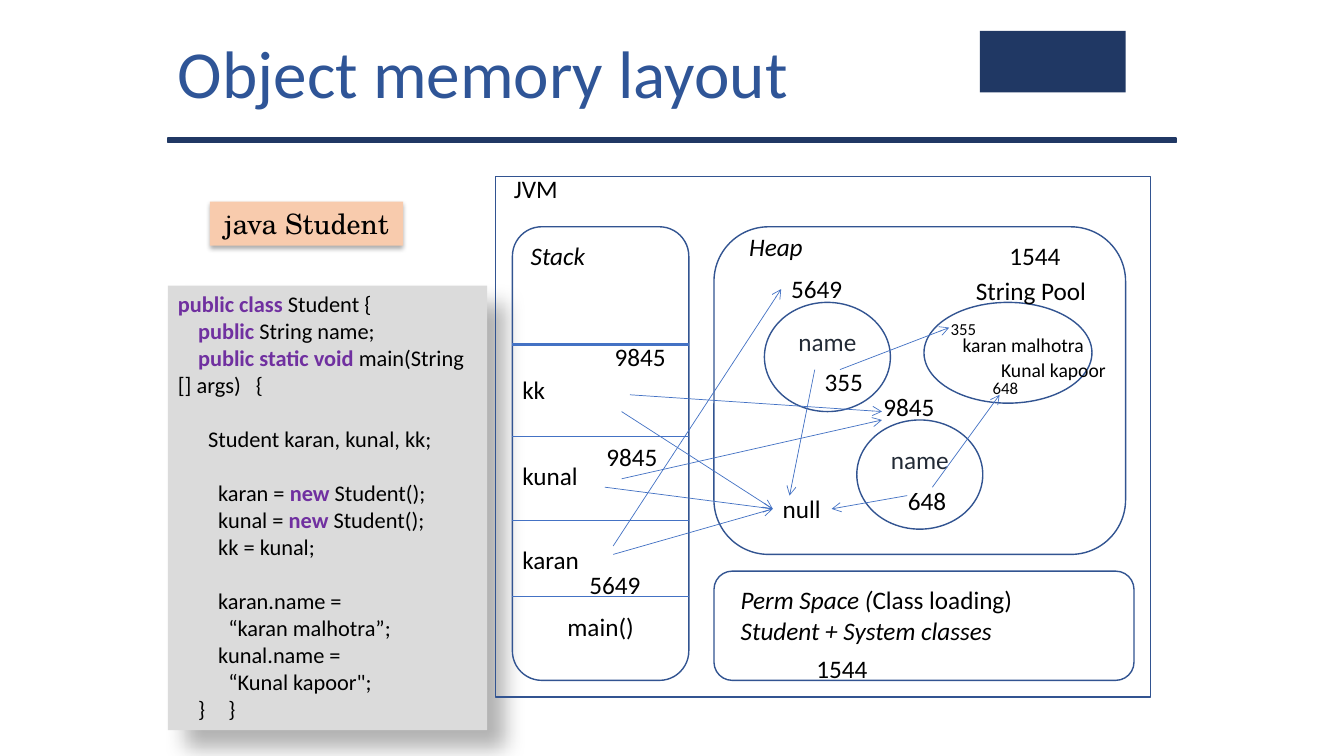
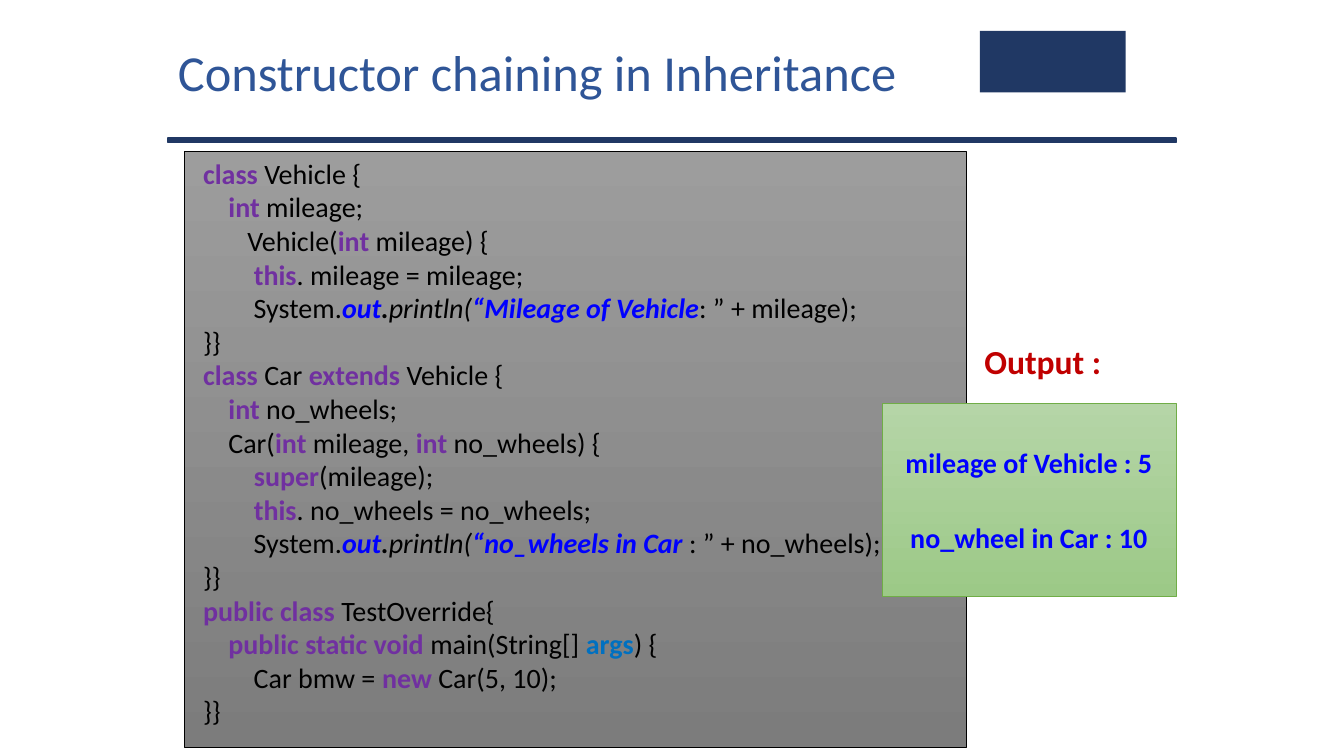
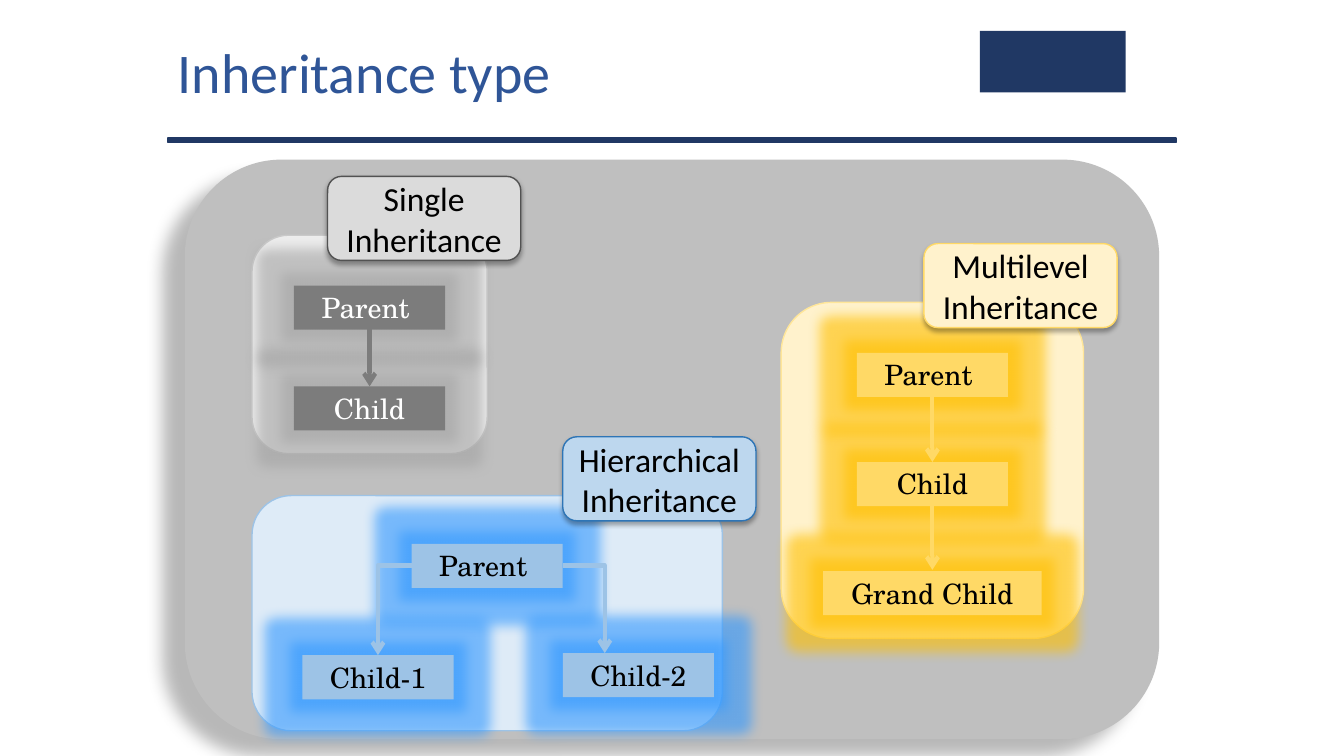
from lxml.etree import SubElement as Sub
from pptx import Presentation
from pptx.dml.color import RGBColor as Rgb
from pptx.enum.shapes import MSO_CONNECTOR as Conn, MSO_SHAPE as Kind
from pptx.enum.text import MSO_ANCHOR as Anchor, PP_ALIGN as Align
from pptx.oxml.ns import qn
from pptx.util import Pt

HUE = {
    "navy": "203864", "title": "2F5597", "edge": "325491", "link": "4472C4",
    "black": "000000", "white": "FFFFFF", "ink": "222A35",
    "key": "7030A0", "blue": "0000FF", "args": "0070C0", "red": "C00000",
    "code": "DBDBDB", "peach": "F8CBAD", "back": "BFBFBF",
    "dim": "9D9D9D", "dark": "7C7C7C",
    "leaf": "B5D5A7", "moss": "9CC987", "green": "70AD47",
}
TONE = {
    "gray": dict(panel="EDEDED", rim="C9C9C9", tag="DBDBDB", edge="525252",
                 box="7C7C7C", glow="A5A5A5", ink="FFFFFF"),
    "gold": dict(panel="FFF2CC", rim="FFE699", tag="FFF2CC", edge="FFD966",
                 box="FFD966", glow="FFC000", ink="000000"),
    "sky": dict(panel="DEEBF7", rim="9DC3E6", tag="BDD7EE", edge="2E75B6",
                box="9DC3E6", glow="3399FF", ink="000000"),
}
LOOK = {
    "plain": ("black", False, False),
    "key": ("key", True, False),
    "args": ("args", True, False),
    "quote": ("blue", True, True),
    "dot": ("black", True, True),
    "slant": ("black", False, True),
}
SANS = "Calibri"
SERIF = "TeX Gyre Schola"
SOFT = (32, 3.5, 2.2, 90)


def tint(name):
    return Rgb.from_string(HUE.get(name, name))


def put(para, text, size, hue="black", bold=False, slant=False, face=SANS):
    run = para.add_run()
    run.text = text
    font = run.font
    font.size, font.name = Pt(size), face
    font.bold, font.italic = bold, slant
    font.color.rgb = tint(hue)


def frame(shape, anchor=Anchor.TOP):
    area = shape.text_frame
    area.word_wrap = True
    area.vertical_anchor = anchor
    return area


def label(slide, text, x, y, w=72, h=29, size=18, **style):
    area = frame(slide.shapes.add_textbox(Pt(x), Pt(y), Pt(w), Pt(h)))
    put(area.paragraphs[0], text, size, **style)
    return area


def effect(shape, tag, hue, alpha, **attrs):
    group = shape._element.spPr.find(qn("a:effectLst"))
    node = Sub(group, qn(tag), {k: str(round(v)) for k, v in attrs.items()})
    shade = Sub(node, qn("a:srgbClr"), val=HUE.get(hue, hue))
    Sub(shade, qn("a:alpha"), val=str(alpha * 1000))


def form(slide, kind, x, y, w, h, fill=None, line=None, thick=1, drop=None):
    shape = slide.shapes.add_shape(kind, Pt(x), Pt(y), Pt(w), Pt(h))
    shape.shadow.inherit = False
    if isinstance(fill, tuple):
        shape.fill.gradient()
        shape.fill.gradient_angle = 270
        for stop, hue in zip(shape.fill.gradient_stops, fill):
            stop.color.rgb = tint(hue)
    elif fill:
        shape.fill.solid()
        shape.fill.fore_color.rgb = tint(fill)
    else:
        shape.fill.background()
    if line:
        shape.line.color.rgb = tint(line)
        shape.line.width = Pt(thick)
    else:
        shape.line.fill.background()
    if drop:
        alpha, blur, dist, angle = drop
        effect(shape, "a:outerShdw", "black", alpha, blurRad=Pt(blur),
               dist=Pt(dist), dir=angle * 60000)
    return shape


def word(shape, text, size, anchor=Anchor.MIDDLE, **style):
    para = frame(shape, anchor).paragraphs[0]
    para.alignment = Align.CENTER
    put(para, text, size, **style)


def wire(slide, ends, hue="link", thick=0.5, arrow=True, bent=False):
    kind = Conn.ELBOW if bent else Conn.STRAIGHT
    link = slide.shapes.add_connector(kind, *map(Pt, ends))
    link.line.color.rgb = tint(hue)
    link.line.width = Pt(thick)
    props = link._element.spPr
    if bent:
        props.find(qn("a:prstGeom")).set("prst", "bentConnector2")
    if arrow:
        Sub(props.find(qn("a:ln")), qn("a:tailEnd"), type="arrow")
    Sub(props, qn("a:effectLst"))


def code(area, lines, size, gaps=()):
    for i, line in enumerate(lines):
        para = area.add_paragraph() if i else area.paragraphs[0]
        para.alignment = Align.LEFT
        if i in gaps:
            para.space_before = Pt(size * 1.22)
        for part in line:
            text, look = (part, "plain") if isinstance(part, str) else part
            put(para, text, size, *LOOK[look])


def key(text):
    return text, "key"


def head(slide, text, size):
    form(slide, Kind.RECTANGLE, 120, 98.5, 720, 3.5, "navy", "navy")
    form(slide, Kind.RECTANGLE, 700, 22, 104, 44, "navy")
    box = slide.shapes.add_textbox(Pt(120), 0, Pt(564), Pt(102))
    put(frame(box, Anchor.MIDDLE).paragraphs[0], text, size, "title")


def memory(slide):
    head(slide, "Object memory layout", 48)
    card = form(slide, Kind.RECTANGLE, 120, 204, 228, 317.5, "code",
                drop=(30, 15, 18, 45))
    code(frame(card), [
        [key("public class"), " Student {"],
        ["    ", key("public"), " String name;"],
        ["    ", key("public static void "), "main(String \t[] args)   {"],
        ["      Student karan, kunal, kk;"],
        ["        karan = ", key("new"), " Student();"],
        ["        kunal = ", key("new"), " Student();"],
        ["        kk = kunal;"],
        ["        karan.name ="],
        ["\t“karan malhotra”;"],
        ["        kunal.name ="],
        ["\t“Kunal kapoor\";"],
        ["    }\t}"],
    ], 16, gaps=(3, 4, 7))

    form(slide, Kind.RECTANGLE, 354, 126, 468, 372, line="edge")
    for spot in [(510, 408, 300, 78), (366, 162, 126, 324),
                 (510, 162, 294, 234)]:
        form(slide, Kind.ROUNDED_RECTANGLE, *spot, line="edge")
    for y, thick in [(426, 0.5), (372, 0.5), (312, 0.5), (246, 2.25)]:
        wire(slide, (366, y, 492, y), thick=thick, arrow=False)

    for x, y in [(546, 216), (612, 300)]:
        oval = form(slide, Kind.OVAL, x, y, 90, 78, line="edge")
        word(oval, "name", 18, hue="ink")
        oval.text_frame.margin_bottom = Pt(25.6)
    form(slide, Kind.OVAL, 660, 216, 120, 72, line="edge")

    perm = label(slide, "Perm Space (", 522, 414, 270, 51, slant=True)
    put(perm.paragraphs[0], "Class loading)", 18)
    put(perm.add_paragraph(), "Student + System classes", 18, slant=True)
    main_box = label(slide, "main()", 366, 433, 126)
    main_box.paragraphs[0].alignment = Align.CENTER

    for text, x, y in [
        ("JVM", 360, 120), ("1544", 576, 463), ("1544", 714, 168),
        ("null", 552, 349), ("5649", 558, 192), ("9845", 624, 276),
        ("5649", 414, 403), ("9845", 426, 312), ("9845", 432, 240),
        ("kk", 366, 264), ("kunal", 366, 325), ("karan", 366, 385),
        ("648", 641.5, 343), ("355", 582, 258),
    ]:
        label(slide, text, x, y)
    label(slide, "String Pool", 690, 193, 96)
    label(slide, "Stack", 372, 168, slant=True)
    label(slide, "Heap", 528, 162, slant=True)
    for text, x, y, size in [
        ("355", 672, 224, 12), ("karan malhotra", 680.5, 234, 14),
        ("648", 702, 266.5, 12), ("Kunal kapoor", 708, 252, 14),
    ]:
        label(slide, text, x, y, 105, 24, size)

    for ends in [
        (438, 396, 552, 363.5), (432, 348, 552, 363.5),
        (444, 294, 552, 363.5), (438, 390, 558, 206.5),
        (444, 342, 630, 300), (450, 282, 630, 294),
        (600, 264, 678, 234), (666, 348, 714, 282),
        (582, 264, 564, 354), (648, 354, 594, 363.5),
    ]:
        wire(slide, ends)
    tag = form(slide, Kind.RECTANGLE, 150, 144, 138, 31.5, "peach", drop=SOFT)
    word(tag, "java Student", 20, Anchor.TOP, face=SERIF)


def show(quote, rest):
    return ["        System.", ("out", "quote"), (".", "dot"),
            ("println(", "slant"), (quote, "quote"), rest]


def chain(slide):
    head(slide, "Constructor chaining in Inheritance", 36)
    form(slide, Kind.RECTANGLE, 132, 108, 558, 426, ("dim", "dark"),
         "black", 0.5)
    box = slide.shapes.add_textbox(Pt(138), Pt(108), Pt(570), Pt(419))
    code(frame(box), [
        [key("class "), "Vehicle {"],
        ["    ", key("int"), " mileage;"],
        ["       Vehicle(", key("int"), " mileage) {"],
        ["        ", key("this"), ". mileage = mileage;"],
        show("“Mileage of Vehicle", ": ” + mileage);"),
        ["}}"],
        [key("class "), "Car ", key("extends "), "Vehicle {"],
        ["    ", key("int"), " no_wheels;"],
        ["    Car(", key("int"), " mileage, ", key("int"), " no_wheels) {"],
        ["        ", key("super"), "(mileage);"],
        ["        ", key("this"), ". no_wheels = no_wheels;"],
        show("“no_wheels in Car ", ": ” + no_wheels);"),
        ["}}"],
        [key("public class "), "TestOverride{"],
        [key("    public static void "), "main(String[] ",
         ("args", "args"), ") {"],
        ["        Car bmw = ", key("new "), "Car(5, 10);"],
        ["}}"],
    ], 20)
    card = form(slide, Kind.RECTANGLE, 630, 288, 210, 138, ("leaf", "moss"),
                "green", 0.5)
    word(card, "mileage of Vehicle : 5", 20, hue="blue", bold=True)
    para = card.text_frame.add_paragraph()
    para.alignment = Align.CENTER
    para.space_before = Pt(29)
    put(para, "no_wheel in Car : 10", 20, "blue", True)
    label(slide, "Output :", 696, 240, 110, 36, 24, hue="red", bold=True)


def family(slide, tone, panel, name, spot, boxes, wires, bent=False):
    hue = TONE[tone]
    form(slide, Kind.ROUNDED_RECTANGLE, *panel, hue["panel"], hue["rim"])
    for text, x, y, w in boxes:
        box = form(slide, Kind.RECTANGLE, x, y, w, 31.5, hue["box"])
        effect(box, "a:glow", hue["glow"], 60, rad=Pt(18))
        word(box, text, 20, Anchor.TOP, hue=hue["ink"], face=SERIF)
    for ends in wires:
        wire(slide, ends, hue["box"], 3, bent=bent)
    tag = form(slide, Kind.ROUNDED_RECTANGLE, *spot, 138, 60, hue["tag"],
               hue["edge"], drop=SOFT)
    word(tag, name, 24)


def types(slide):
    form(slide, Kind.ROUNDED_RECTANGLE, 132, 114, 696, 414, "back",
         drop=(28, 11.8, 19.7, 141))
    head(slide, "Inheritance type", 40)
    family(slide, "gray", (180, 168, 168, 156), "Single Inheritance",
           (234, 126),
           [("Child", 210, 276, 108), ("Parent ", 210, 204, 108)],
           [(264, 235, 264, 276)])
    family(slide, "gold", (558, 216, 216, 240), "Multilevel Inheritance",
           (660, 174),
           [("Child", 612, 330, 108), ("Parent ", 612, 252, 108),
            ("Grand Child", 588, 408, 156)],
           [(666, 283, 666, 330), (666, 360, 666, 407)])
    family(slide, "sky", (180, 354, 336, 168), "Hierarchical Inheritance",
           (402, 312),
           [("Child-1", 216, 468, 108), ("Child-2", 378 + 24, 466.5, 108),
            ("Parent ", 294, 388.5, 108)],
           [(294, 404, 270, 468), (402, 404, 432, 466.5)], bent=True)


def main():
    deck = Presentation()
    deck.slide_width, deck.slide_height = Pt(960), Pt(540)
    for draw in (memory, chain, types):
        draw(deck.slides.add_slide(deck.slide_layouts[6]))
    deck.save("out.pptx")


if __name__ == "__main__":
    main()
